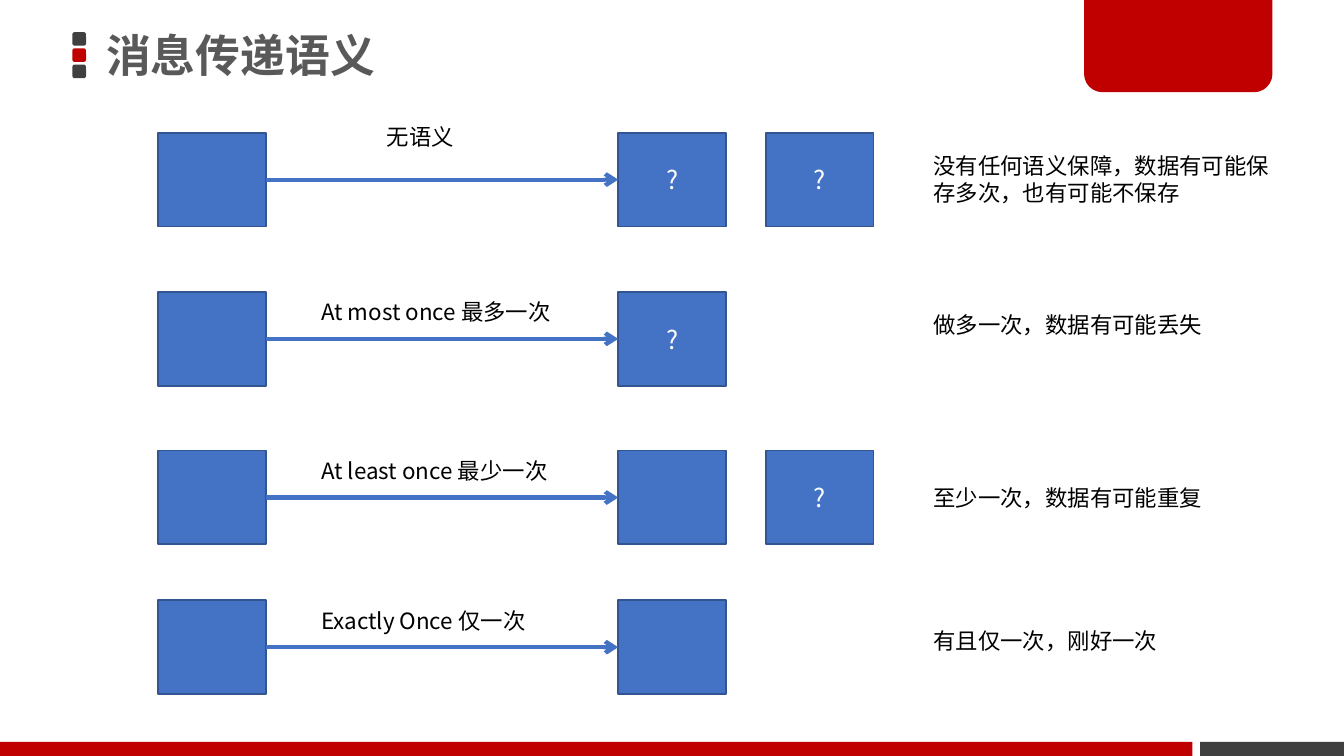
from lxml.etree import SubElement
from pptx import Presentation
from pptx.dml.color import RGBColor
from pptx.enum.shapes import MSO_CONNECTOR, MSO_SHAPE as Preset
from pptx.enum.text import MSO_ANCHOR as Anchor, MSO_AUTO_SIZE as AutoSize, PP_ALIGN as Align
from pptx.oxml.ns import qn
from pptx.util import Pt

FONT = "Noto Sans CJK SC"
RED, DARK, GREY, BLUE, NAVY = "C00000", "404040", "595959", "4472C4", "325491"

TITLE = "消息传递语义"
# top, label, label left, label width, receiver texts, note, note top, note height
ROWS = [
    (71.1, "无语义", 200.2, 54, ["?", "?"],
     "没有任何语义保障，数据有可能保存多次，也有可能不保存", 77.8, 36),
    (156.4, "At most once 最多一次", 165, 144, ["?"],
     "做多一次，数据有可能丢失", 163.4, 21.6),
    (241.4, "At least once 最少一次", 165, 144, ["", "?"],
     "至少一次，数据有可能重复", 255.6, 21.6),
    (321.6, "Exactly Once 仅一次", 165, 144, [""],
     "有且仅一次，刚好一次", 332.6, 21.6),
]
FIRST_LABEL_TOP = 62.6
BOX_WIDTH, BOX_HEIGHT = 57.8, 50.3
SENDER_LEFT, RECEIVER_LEFT, RECEIVER_STEP = 84.8, 331.2, 79
NOTE_LEFT, NOTE_WIDTH = 493, 198.7

# preset, left, top, width, height, colour, corner adjustments
DECORATIONS = [
    *[(Preset.ROUNDED_RECTANGLE, 38.8, 17.2 + 8.7 * i, 7.3, 7.3, colour, [0.167])
      for i, colour in enumerate([DARK, RED, DARK])],
    (Preset.RECTANGLE, 643, 397.5, 77, 7.5, DARK, []),
    (Preset.ROUND_2_SAME_RECTANGLE, 580.8, 0, 100.9, 49.4, RED, [0, 0.2]),
    (Preset.RECTANGLE, 0, 397.5, 638.8, 7.5, RED, []),
]


def rgb(value):
    return RGBColor.from_string(value)


def write(frame, text, size, colour, align=Align.LEFT, bold=False):
    frame.text = text
    paragraph = frame.paragraphs[0]
    paragraph.alignment = align
    font = paragraph.font
    font.name, font.size, font.bold = FONT, Pt(size), bold
    font.color.rgb = rgb(colour)
    defaults = paragraph._p.pPr.find(qn("a:defRPr"))
    SubElement(defaults, qn("a:ea"), typeface=FONT)
    return paragraph


def add_preset(slide, preset, left, top, width, height, colour, adjustments=()):
    shape = slide.shapes.add_shape(preset, Pt(left), Pt(top), Pt(width), Pt(height))
    for i, value in enumerate(adjustments):
        shape.adjustments[i] = value
    shape.shadow.inherit = False
    shape.fill.solid()
    shape.fill.fore_color.rgb = rgb(colour)
    shape.line.fill.background()
    return shape


def add_box(slide, left, top, text=""):
    shape = add_preset(slide, Preset.RECTANGLE, left, top, BOX_WIDTH, BOX_HEIGHT, BLUE)
    shape.line.color.rgb = rgb(NAVY)
    shape.line.width = Pt(1)
    if text:
        shape.text_frame.vertical_anchor = Anchor.MIDDLE
        write(shape.text_frame, text, 13.7, "FFFFFF", Align.CENTER)


def add_arrow(slide, left, right, y):
    arrow = slide.shapes.add_connector(MSO_CONNECTOR.STRAIGHT, Pt(left), Pt(y), Pt(right), Pt(y))
    arrow.line.color.rgb = rgb(BLUE)
    arrow.line.width = Pt(2.25)
    SubElement(arrow.line._get_or_add_ln(), qn("a:tailEnd"), type="arrow")
    SubElement(arrow._element.spPr, qn("a:effectLst"))


def add_text(slide, left, top, width, height, text):
    frame = slide.shapes.add_textbox(Pt(left), Pt(top), Pt(width), Pt(height)).text_frame
    frame.word_wrap = True
    frame.auto_size = AutoSize.SHAPE_TO_FIT_TEXT
    write(frame, text, 12, "000000")


def add_title(slide):
    title = slide.shapes.title
    title.left, title.top, title.width, title.height = Pt(49.7), Pt(0), Pt(621.4), Pt(62.6)
    title.text_frame.auto_size = AutoSize.NONE
    title.text_frame.vertical_anchor = Anchor.MIDDLE
    write(title.text_frame, TITLE, 24, GREY, bold=True).line_spacing = 0.9


def main():
    presentation = Presentation()
    presentation.slide_width, presentation.slide_height = Pt(720), Pt(405)
    slide = presentation.slides.add_slide(presentation.slide_layouts[5])
    for decoration in DECORATIONS:
        add_preset(slide, *decoration)
    add_title(slide)
    for i, (top, label, label_left, label_width, receivers, note, note_top, note_height) in enumerate(ROWS):
        add_box(slide, SENDER_LEFT, top)
        for column, text in enumerate(receivers):
            add_box(slide, RECEIVER_LEFT + column * RECEIVER_STEP, top, text)
        add_arrow(slide, SENDER_LEFT + BOX_WIDTH, RECEIVER_LEFT, top + BOX_HEIGHT / 2)
        label_top = top if i else FIRST_LABEL_TOP
        add_text(slide, label_left, label_top, label_width, 21.6, label)
        add_text(slide, NOTE_LEFT, note_top, NOTE_WIDTH, note_height, note)
    presentation.save("out.pptx")


if __name__ == "__main__":
    main()
